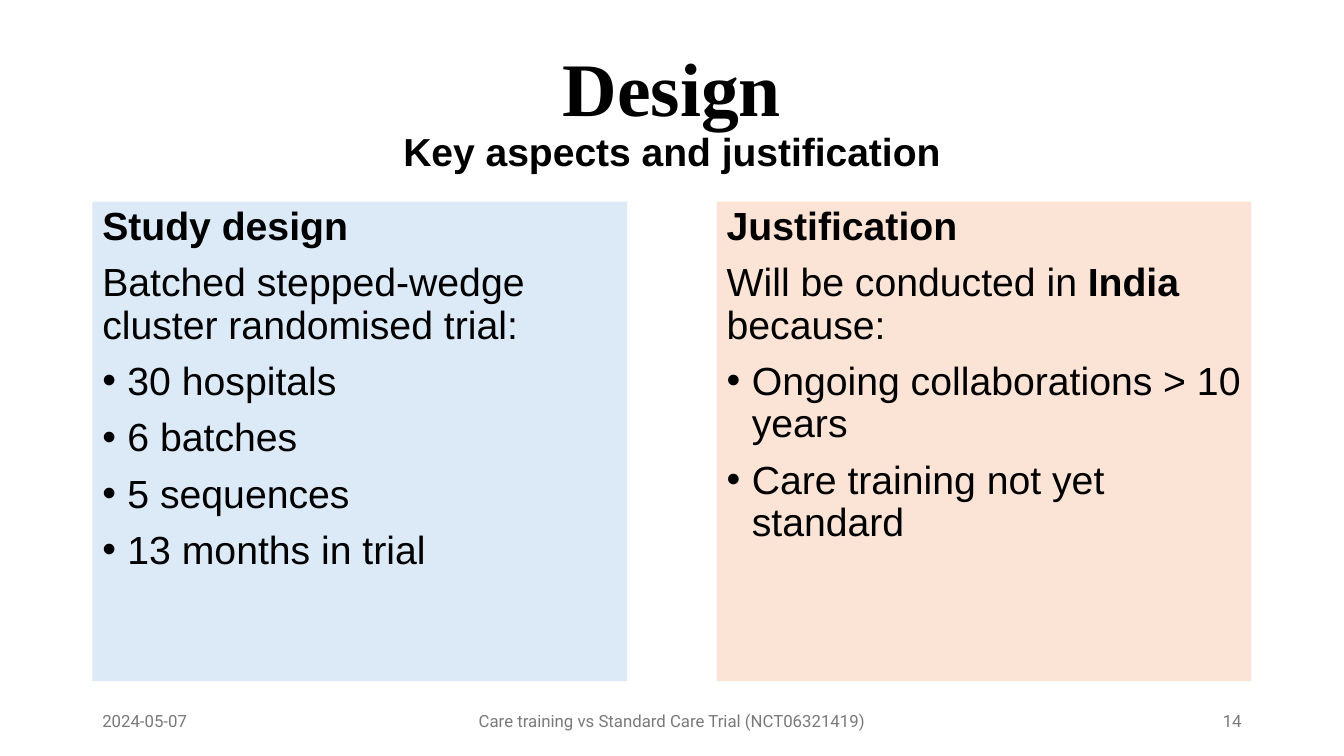
"""Build the trial design slide with its two columns and footer."""
from lxml import etree
from pptx import Presentation
from pptx.dml.color import RGBColor
from pptx.enum.text import MSO_ANCHOR, PP_ALIGN
from pptx.oxml.ns import qn
from pptx.util import Pt

LEFT, CENTER, RIGHT = PP_ALIGN.LEFT, PP_ALIGN.CENTER, PP_ALIGN.RIGHT
TOP, MIDDLE = MSO_ANCHOR.TOP, MSO_ANCHOR.MIDDLE
COLORS = {"text": "000000", "footer": "797979", "design": "DCEAF7", "justification": "FBE3D6"}
MARGIN = 66


def add_box(s, x, y, w, h, anchor):
    sp = s.shapes.add_textbox(Pt(x), Pt(y), Pt(w), Pt(h))
    tf = sp.text_frame
    tf.word_wrap = True
    tf.vertical_anchor = anchor
    return sp, tf


def add_run(p, text, color="text", **formats):
    r = p.add_run()
    r.text = text
    for name, value in formats.items():
        setattr(r.font, name, value)
    r.font.color.rgb = RGBColor.from_string(COLORS[color])


prs = Presentation()
prs.slide_width, prs.slide_height = Pt(960), Pt(540)
s = prs.slides.add_slide(prs.slide_layouts[6])

sp, tf = add_box(s, MARGIN, 28.75, 828, 104.4, MIDDLE)
p = tf.paragraphs[0]
p.alignment, p.line_spacing = CENTER, 0.9
add_run(p, "Design", name="Times New Roman", size=Pt(54), bold=True)
p.add_line_break()
add_run(p, "Key aspects and justification", name="Arial", size=Pt(27.9), bold=True)

columns = [
    (MARGIN, "design", "Study design",
     [("Batched stepped-wedge cluster randomised trial:", False)],
     ["30 hospitals", "6 batches", "5 sequences", "13 months in trial"]),
    (512, "justification", "Justification",
     [("Will be conducted in ", False), ("India", True), (" because:", False)],
     ["Ongoing collaborations > 10 years", "Care training not yet standard"]),
]
for x, fill, heading, intro, bullets in columns:
    sp, tf = add_box(s, x, 144, 382, 342.6, TOP)
    sp.fill.solid()
    sp.fill.fore_color.rgb = RGBColor.from_string(COLORS[fill])
    paragraphs = [[(heading, True)], intro] + [[(bullet, False)] for bullet in bullets]
    for i, runs in enumerate(paragraphs):
        p = tf.paragraphs[0] if i == 0 else tf.add_paragraph()
        p.line_spacing = 0.9
        if i > 0:
            p.space_before = Pt(10)
        if i > 1:
            pPr = p._p.get_or_add_pPr()
            pPr.set("marL", str(Pt(18)))
            pPr.set("indent", str(Pt(-18)))
            etree.SubElement(pPr, qn("a:buFont")).set("typeface", "Arial")
            etree.SubElement(pPr, qn("a:buChar")).set("char", "•")
        for text, bold in runs:
            add_run(p, text, name="Arial", size=Pt(28), bold=bold)

footers = [
    (MARGIN, 216, "2024-05-07", LEFT),
    (318, 324, "Care training vs Standard Care Trial (NCT06321419)", CENTER),
    (678, 216, "14", RIGHT),
]
for x, w, text, alignment in footers:
    sp, tf = add_box(s, x, 500.5, w, 28.75, MIDDLE)
    p = tf.paragraphs[0]
    p.alignment = alignment
    add_run(p, text, "footer", name="Roboto", size=Pt(12))

prs.save("out.pptx")
